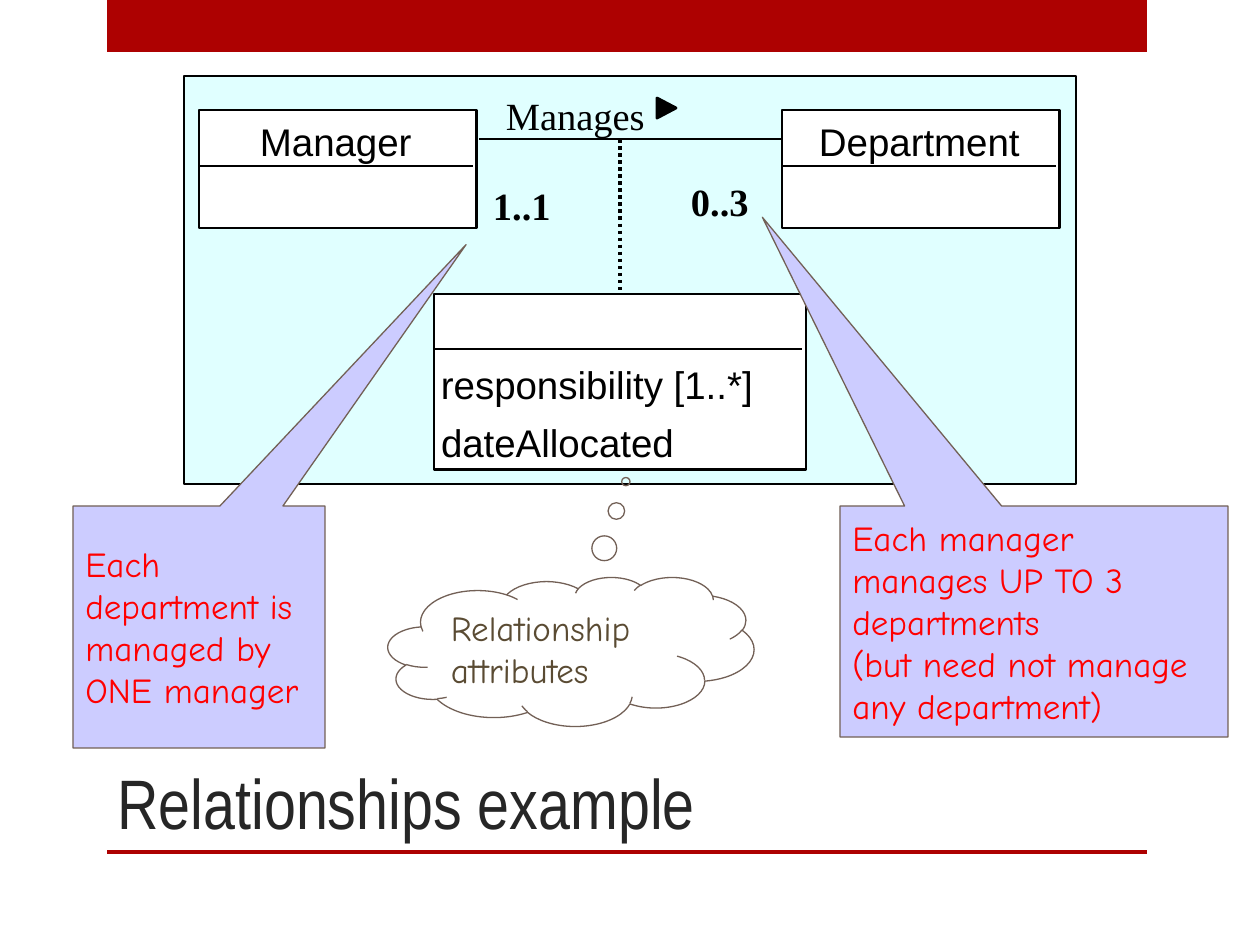
from dataclasses import dataclass

from pptx import Presentation
from pptx.dml.color import RGBColor
from pptx.enum.dml import MSO_LINE_DASH_STYLE as Dash
from pptx.enum.shapes import MSO_CONNECTOR, MSO_AUTO_SHAPE_TYPE as ShapeType
from pptx.enum.text import MSO_ANCHOR, PP_ALIGN
from pptx.oxml.ns import qn
from pptx.util import Emu, Pt
from lxml.etree import SubElement

PX = 914400 / 126
TITLE_ONLY = 5
RULE_WIDTH = 1.63
TOP_SIDE = 0

COLORS = {
    "accent": "AD0101",
    "title": "262626",
    "panel": "E0FFFF",
    "ink": "000000",
    "paper": "FFFFFF",
    "callout": "CCCCFF",
    "callout_line": "726056",
    "callout_text": "FF0000",
    "cloud_text": "5A4B33",
}


@dataclass(frozen=True)
class Box:
    left: int
    top: int
    width: int
    height: int

    def emu(self) -> list[Emu]:
        return [px(n) for n in (self.left, self.top, self.width, self.height)]


@dataclass(frozen=True)
class Label:
    text: str
    box: Box
    font: str = "Arial"
    bold: bool = False


@dataclass(frozen=True)
class UmlClass:
    box: Box
    divider_y: int


@dataclass(frozen=True)
class Callout:
    text: str
    box: Box
    tip: tuple[float, float]
    kind: ShapeType = ShapeType.RECTANGULAR_CALLOUT
    fill: str | None = "callout"
    text_color: str = "callout_text"


MANAGER = UmlClass(Box(199, 110, 278, 118), 166)
DEPARTMENT = UmlClass(Box(782, 110, 278, 118), 166)
ALLOCATION = UmlClass(Box(434, 294, 372, 176), 349)

SERIF = "Times New Roman"
LABELS = [
    Label("Manager", Box(260, 118, 164, 52)),
    Label("Department", Box(819, 118, 212, 52)),
    Label("Manages", Box(506, 92, 166, 53), SERIF),
    Label("0..3", Box(691, 178, 74, 52), SERIF, True),
    Label("1..1", Box(493, 182, 74, 52), SERIF, True),
    Label("responsibility [1..*]", Box(441, 361, 312, 47)),
    Label("dateAllocated", Box(441, 419, 233, 47)),
]

CALLOUTS = [
    Callout("Each department is managed by ONE manager",
            Box(73, 506, 252, 242), (1.06, -1.58)),
    Callout("Each manager manages UP TO 3 departments \v(but need not manage any department)",
            Box(840, 506, 388, 231), (-0.7, -1.75)),
    Callout("Relationship attributes", Box(388, 577, 366, 149), (0.15, -1.14),
            ShapeType.CLOUD_CALLOUT, None, "cloud_text"),
]


def px(length: int) -> Emu:
    return Emu(round(length * PX))


def rgb(name: str) -> RGBColor:
    return RGBColor.from_string(COLORS[name])


def paint(shape, fill: str | None, line: str | None = None, width: float = 0.75) -> None:
    shape.shadow.inherit = False
    if fill:
        shape.fill.solid()
        shape.fill.fore_color.rgb = rgb(fill)
    else:
        shape.fill.background()
    if line:
        shape.line.color.rgb = rgb(line)
        shape.line.width = Pt(width)
    else:
        shape.line.fill.background()


def set_font(paragraph, name: str, size: int, color: str, bold: bool = False) -> None:
    paragraph.alignment = PP_ALIGN.LEFT
    font = paragraph.font
    font.name, font.size, font.bold = name, Pt(size), bold
    font.color.rgb = rgb(color)


def add_rectangle(slide, box: Box, fill: str, line: str | None = None, width: float = 0.75):
    shape = slide.shapes.add_shape(ShapeType.RECTANGLE, *box.emu())
    paint(shape, fill, line, width)
    return shape


def add_line(slide, start: tuple[int, int], end: tuple[int, int], width: float = RULE_WIDTH):
    points = [px(n) for n in (*start, *end)]
    line = slide.shapes.add_connector(MSO_CONNECTOR.STRAIGHT, *points)
    line.line.color.rgb = rgb("ink")
    line.line.width = Pt(width)
    SubElement(line._element.spPr, qn("a:effectLst"))
    return line


def add_class(slide, uml: UmlClass):
    """Draw an outlined class box with the rule under its name; return the box."""
    shape = add_rectangle(slide, uml.box, "paper", "ink", RULE_WIDTH)
    right = uml.box.left + uml.box.width - 4
    add_line(slide, (uml.box.left + 1, uml.divider_y), (right, uml.divider_y))
    return shape


def add_label(slide, label: Label) -> None:
    frame = slide.shapes.add_textbox(*label.box.emu()).text_frame
    frame.margin_left = frame.margin_top = frame.margin_right = frame.margin_bottom = 0
    frame.word_wrap = False
    frame.text = label.text
    set_font(frame.paragraphs[0], label.font, 22, "ink", label.bold)


def add_callout(slide, callout: Callout) -> None:
    shape = slide.shapes.add_shape(callout.kind, *callout.box.emu())
    shape.adjustments[0], shape.adjustments[1] = callout.tip
    paint(shape, callout.fill, "callout_line")
    frame = shape.text_frame
    frame.word_wrap = True
    frame.vertical_anchor = MSO_ANCHOR.MIDDLE
    frame.text = callout.text
    set_font(frame.paragraphs[0], "Comic Neue", 20, callout.text_color)


def add_direction_arrow(slide) -> None:
    builder = slide.shapes.build_freeform(657, 118, scale=PX)
    builder.add_line_segments([(657, 98), (676, 108)], close=True)
    paint(builder.convert_to_shape(), "ink", "ink", RULE_WIDTH)


def set_title(slide, text: str) -> None:
    title = slide.shapes.title
    title.left, title.top, title.width, title.height = Box(105, 630, 935, 220).emu()
    title.text_frame.text = text
    title.text_frame.vertical_anchor = MSO_ANCHOR.BOTTOM
    set_font(title.text_frame.paragraphs[0], "Arial Narrow", 40, "title")


def main() -> None:
    presentation = Presentation()
    presentation.slide_width, presentation.slide_height = px(1260), px(945)
    slide = presentation.slides.add_slide(presentation.slide_layouts[TITLE_ONLY])

    set_title(slide, "Relationships example")
    for bar in (Box(107, 0, 1040, 52), Box(107, 850, 1040, 4)):
        add_rectangle(slide, bar, "accent")
    add_rectangle(slide, Box(184, 76, 892, 408), "panel", "ink")

    add_line(slide, (479, 139), (781, 139))
    add_class(slide, MANAGER)
    add_class(slide, DEPARTMENT)
    allocation = add_class(slide, ALLOCATION)
    attachment = add_line(slide, (620, 139), (620, 294), 0)
    attachment.line.dash_style = Dash.ROUND_DOT
    attachment.end_connect(allocation, TOP_SIDE)

    add_direction_arrow(slide)
    for label in LABELS:
        add_label(slide, label)
    for callout in CALLOUTS:
        add_callout(slide, callout)

    presentation.save("out.pptx")


if __name__ == "__main__":
    main()
